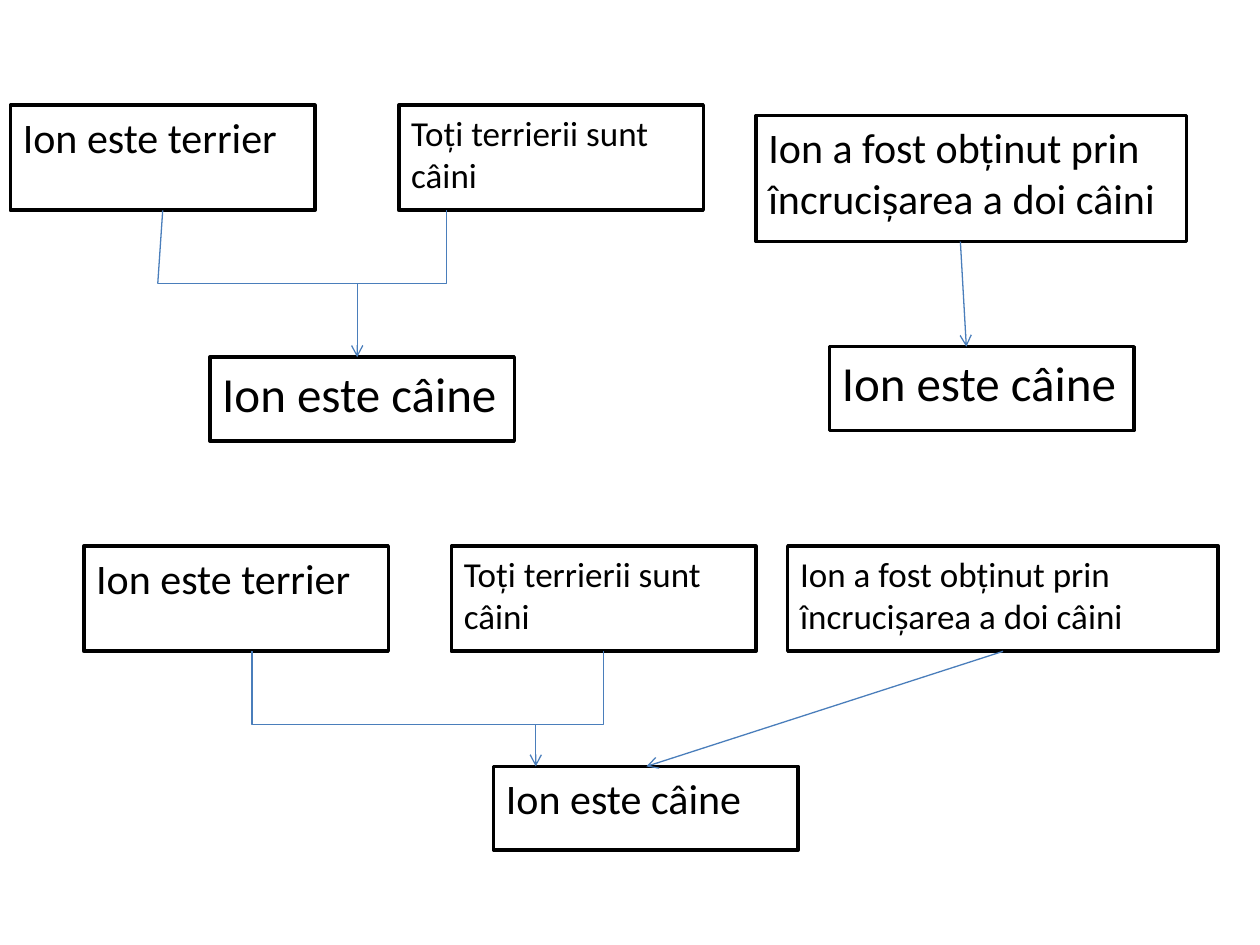
from dataclasses import dataclass

from lxml.etree import SubElement
from pptx import Presentation
from pptx.dml.color import RGBColor
from pptx.enum.shapes import MSO_CONNECTOR as Connector, MSO_SHAPE as Shape
from pptx.enum.text import MSO_ANCHOR as Anchor, PP_ALIGN as Align
from pptx.oxml.ns import qn
from pptx.util import Cm, Pt


@dataclass(frozen=True)
class Theme:
    font: str = "Calibri"
    ink: RGBColor = RGBColor(0x00, 0x00, 0x00)
    paper: RGBColor = RGBColor(0xFF, 0xFF, 0xFF)
    link: RGBColor = RGBColor(0x4A, 0x7E, 0xBB)
    small: Pt = Pt(20)
    medium: Pt = Pt(24)
    large: Pt = Pt(28)
    border: Pt = Pt(2)
    link_width: Pt = Pt(0.75)


THEME = Theme()

TERRIER = "Ion este terrier"
ALL_TERRIERS = "Toți terrierii sunt câini"
CROSSBREED = "Ion a fost obținut prin încrucișarea a doi câini"
DOG = "Ion este câine"

NARROW, WIDE = 6.14, 8.68
PREMISE_HEIGHT, CONCLUSION_HEIGHT = 2.12, 1.69


def add_statement(slide, text, left, top, width, height, size):
    shape = slide.shapes.add_shape(Shape.RECTANGLE, Cm(left), Cm(top), Cm(width), Cm(height))
    shape.shadow.inherit = False
    shape.fill.solid()
    shape.fill.fore_color.rgb = THEME.paper
    shape.line.color.rgb = THEME.ink
    shape.line.width = THEME.border
    text_frame = shape.text_frame
    text_frame.text = text
    text_frame.word_wrap = True
    text_frame.vertical_anchor = Anchor.TOP
    paragraph = text_frame.paragraphs[0]
    paragraph.alignment = Align.LEFT
    font = paragraph.runs[0].font
    font.name, font.size, font.color.rgb = THEME.font, size, THEME.ink


def add_link(slide, start, end, kind=Connector.STRAIGHT):
    points = [Cm(value) for value in (*start, *end)]
    connector = slide.shapes.add_connector(kind, *points)
    connector.line.color.rgb = THEME.link
    connector.line.width = THEME.link_width
    SubElement(connector._element.spPr, qn("a:effectLst"))
    return connector


def add_arrow(slide, start, end):
    connector = add_link(slide, start, end)
    SubElement(connector.line._get_or_add_ln(), qn("a:tailEnd"), type="arrow")


def add_elbow(slide, joint, premise):
    """Run level from the joint, then turn once up to the premise."""
    connector = add_link(slide, joint, premise, Connector.ELBOW)
    connector._element.spPr.find(qn("a:prstGeom")).set("prst", "bentConnector2")


def add_linked_premises(slide):
    top, joint = 2.12, (7.2, 5.72)
    bottom = top + PREMISE_HEIGHT
    corner = (3.18, joint[1])
    add_statement(slide, TERRIER, 0.21, top, NARROW, PREMISE_HEIGHT, THEME.medium)
    add_statement(slide, ALL_TERRIERS, 8.04, top, NARROW, PREMISE_HEIGHT, THEME.small)
    add_statement(slide, DOG, 4.23, 7.2, NARROW, CONCLUSION_HEIGHT, THEME.large)
    add_link(slide, (3.28, bottom), corner)
    add_link(slide, corner, joint)
    add_elbow(slide, joint, (9, bottom))
    add_arrow(slide, joint, (7.2, 7.2))


def add_single_premise(slide):
    add_statement(slide, CROSSBREED, 15.24, 2.33, WIDE, 2.54, THEME.medium)
    add_statement(slide, DOG, 16.72, 6.99, NARROW, CONCLUSION_HEIGHT, THEME.large)
    add_arrow(slide, (19.36, 4.87), (19.48, 6.99))


def add_combined_argument(slide):
    top, conclusion_top, joint = 11.01, 15.45, (10.37, 14.6)
    bottom = top + PREMISE_HEIGHT
    for text, left, width, size in (
        (TERRIER, 1.69, NARROW, THEME.medium),
        (ALL_TERRIERS, 9.1, NARROW, THEME.small),
        (CROSSBREED, 15.88, WIDE, THEME.small),
    ):
        add_statement(slide, text, left, top, width, PREMISE_HEIGHT, size)
    add_statement(slide, DOG, 9.95, conclusion_top, NARROW, CONCLUSION_HEIGHT, THEME.medium)
    for premise_x in (5.08, 12.17):
        add_elbow(slide, joint, (premise_x, bottom))
    add_arrow(slide, (10.8, joint[1]), (10.8, conclusion_top))
    add_arrow(slide, (20.22, bottom), (13.03, conclusion_top))


def main():
    presentation = Presentation()
    presentation.slide_width, presentation.slide_height = Cm(25.4), Cm(19.05)
    slide = presentation.slides.add_slide(presentation.slide_layouts[6])
    add_linked_premises(slide)
    add_single_premise(slide)
    add_combined_argument(slide)
    presentation.save("out.pptx")


if __name__ == "__main__":
    main()
